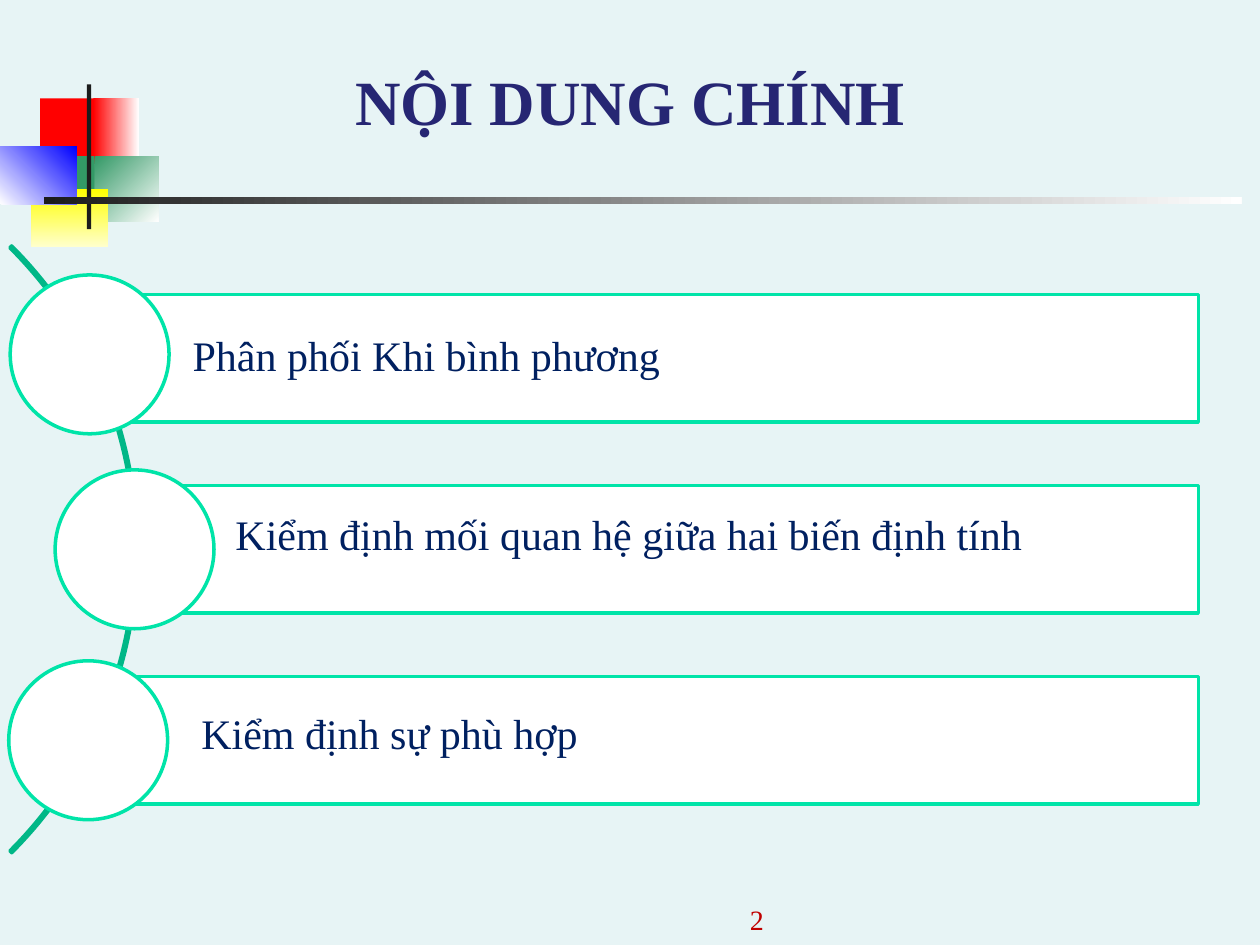
from dataclasses import dataclass

from pptx import Presentation
from pptx.dml.color import RGBColor
from pptx.enum.shapes import MSO_SHAPE
from pptx.enum.text import MSO_ANCHOR, PP_ALIGN
from pptx.util import Pt


@dataclass(frozen=True)
class Theme:
    font: str = "Times New Roman"
    back: str = "E7F4F5"
    head: str = "262673"
    body: str = "002060"
    page: str = "C00000"
    edge: str = "00E4A8"
    arc: str = "00B787"
    white: str = "FFFFFF"
    red: str = "FF0000"
    green: str = "339966"
    yellow: str = "FFFF00"
    cream: str = "FFFFCC"
    blue: str = "0000FF"
    dark: str = "1C1C1C"
    head_size: int = 36
    body_size: int = 24
    page_size: int = 16
    stroke: int = 2


THEME = Theme()


def rgb(code):
    return RGBColor.from_string(code)


def apply(item, values):
    for name, value in values.items():
        setattr(item, name, value)


def place(item, box):
    names = ("left", "top", "width", "height")
    apply(item, {name: Pt(size) for name, size in zip(names, box)})


def draw(slide, kind, box, fill=None, line=None):
    shape = slide.shapes.add_shape(kind, *map(Pt, box))
    shape.shadow.inherit = False
    if fill:
        shape.fill.solid()
        shape.fill.fore_color.rgb = rgb(fill)
    else:
        shape.fill.background()
    if line:
        shape.line.color.rgb = rgb(line)
        shape.line.width = Pt(THEME.stroke)
    else:
        shape.line.fill.background()
    return shape


def blend(shape, start, end, angle):
    """Fill with two colours; the angle runs counter-clockwise."""
    shape.fill.gradient()
    shape.fill.gradient_angle = angle
    for stop, code in zip(shape.fill.gradient_stops, (start, end)):
        stop.color.rgb = rgb(code)


def write(frame, text, size, color, bold=False, align=PP_ALIGN.LEFT,
          anchor=MSO_ANCHOR.TOP):
    apply(frame, {"word_wrap": True, "vertical_anchor": anchor})
    para = frame.paragraphs[0]
    para.alignment = align
    run = para.add_run()
    run.text = text
    apply(run.font, {"name": THEME.font, "size": Pt(size), "bold": bold})
    run.font.color.rgb = rgb(color)


def label(slide, box, *args, **style):
    write(slide.shapes.add_textbox(*map(Pt, box)).text_frame, *args, **style)


def emblem(slide, box):
    """Coloured blocks with a cross of a bar and a fading rule."""
    left, top, width, _ = box
    t = THEME
    # Offset box, first colour, second colour, angle
    parts = [
        ((23, 8, 34.5, 37.5), t.red, None, 0),
        ((53.3, 8, 26, 37.5), t.red, t.white, 0),
        ((54, 41, 36.7, 37.5), t.green, t.white, 315),
        ((31, 41, 23, 37.5), t.green, None, 0),
        ((18, 60, 44, 33), t.yellow, t.cream, 270),
        ((0, 35.5, 44, 33), t.white, t.blue, 45),
        ((49.7, 0, 2.5, 82.8), t.dark, None, 0),
        ((25.2, 64.2, width - 25.2, 4.3), t.dark, t.white, 0),
    ]
    for (x, y, w, h), start, end, angle in parts:
        shape = draw(slide, MSO_SHAPE.RECTANGLE,
                     (left + x, top + y, w, h), start)
        if end:
            blend(shape, start, end, angle)


def heading(slide, box):
    title = slide.shapes.title
    place(title, box)
    write(title.text_frame, "NỘI DUNG CHÍNH", THEME.head_size, THEME.head,
          bold=True, align=PP_ALIGN.CENTER, anchor=MSO_ANCHOR.BOTTOM)


def agenda(slide, box):
    """Three bars with discs, strung along an arc."""
    left, top, width, height = box
    right, middle = left + width, top + height / 2
    bar, disc, ring = 72.8, 90.8, 490.3
    pitch = (height - bar) / 2

    # Arc from 315 to 45 degrees
    arc = draw(slide, MSO_SHAPE.BLOCK_ARC,
               (78.5 - ring, middle - ring / 2, ring, ring),
               line=THEME.arc)
    for i, value in enumerate((189, 27, 0.003)):
        arc.adjustments[i] = value

    # Text, bar left, disc left, disc shift, text left, text drop
    rows = [
        ("Phân phối Khi bình phương", 50.4, 5.8, -2.3, 103, 16.5),
        ("Kiểm định mối quan hệ giữa hai biến định tính",
         77, 31.5, 0, 127.5, 9.5),
        ("Kiểm định sự phù hợp", 50.4, 5, 0, 108, 14.4),
    ]
    for i, (_, start, edge, shift, _, _) in enumerate(rows):
        y = top + i * pitch
        draw(slide, MSO_SHAPE.RECTANGLE, (start, y, right - start, bar),
             THEME.white, THEME.edge)
        draw(slide, MSO_SHAPE.OVAL,
             (edge, y + (bar - disc) / 2 + shift, disc, disc),
             THEME.white, THEME.edge)
    for i, (text, _, _, _, x, drop) in enumerate(rows):
        label(slide, (x, top + i * pitch + drop, right - x, 36),
              text, THEME.body_size, THEME.body)


def folio(slide, box):
    label(slide, box, "2", THEME.page_size, THEME.page,
          align=PP_ALIGN.RIGHT, anchor=MSO_ANCHOR.BOTTOM)


def main():
    deck = Presentation()
    apply(deck, {"slide_width": Pt(720), "slide_height": Pt(540)})
    slide = deck.slides.add_slide(deck.slide_layouts[5])
    slide.background.fill.solid()
    slide.background.fill.fore_color.rgb = rgb(THEME.back)

    emblem(slide, (0, 48.2, 709.5, 93))
    heading(slide, (0, 30.2, 720, 52.6))
    folio(slide, (275.8, 509.8, 167.8, 28.8))
    agenda(slide, (0, 168.4, 684.8, 291))
    deck.save("out.pptx")


if __name__ == "__main__":
    main()
